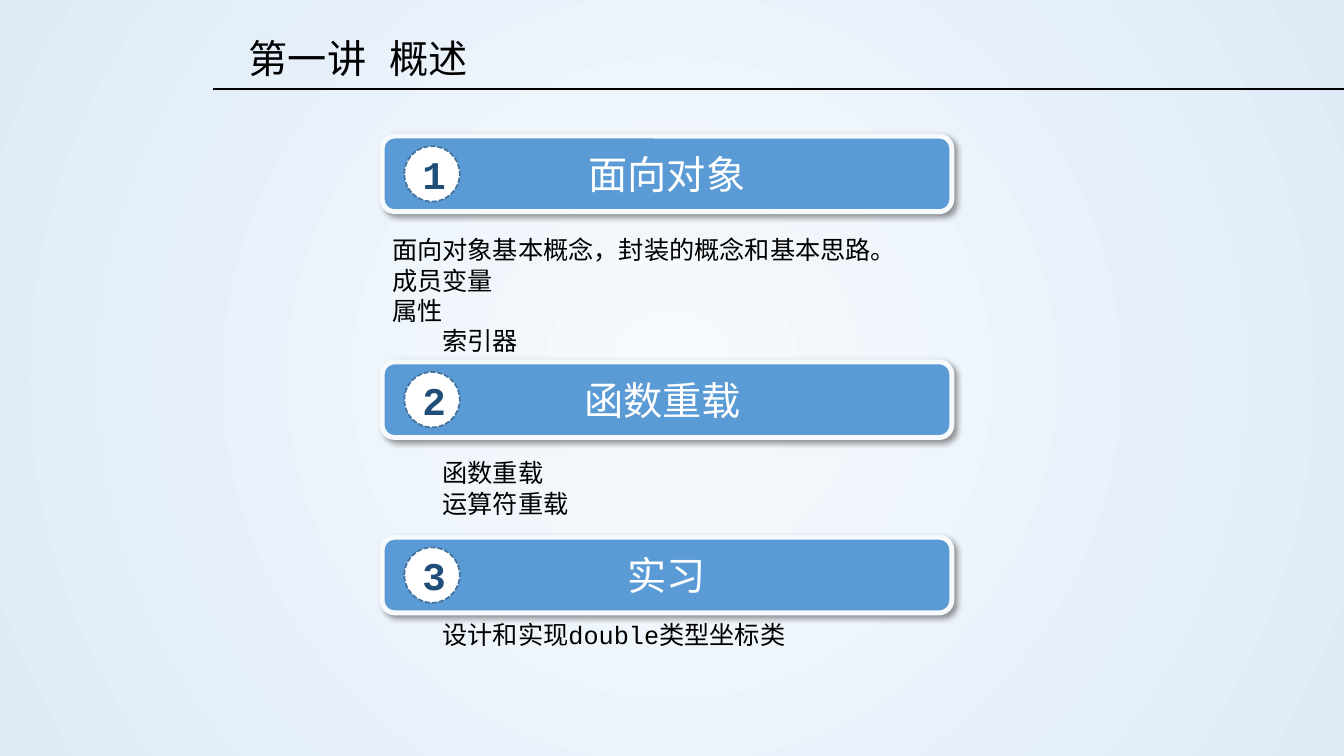
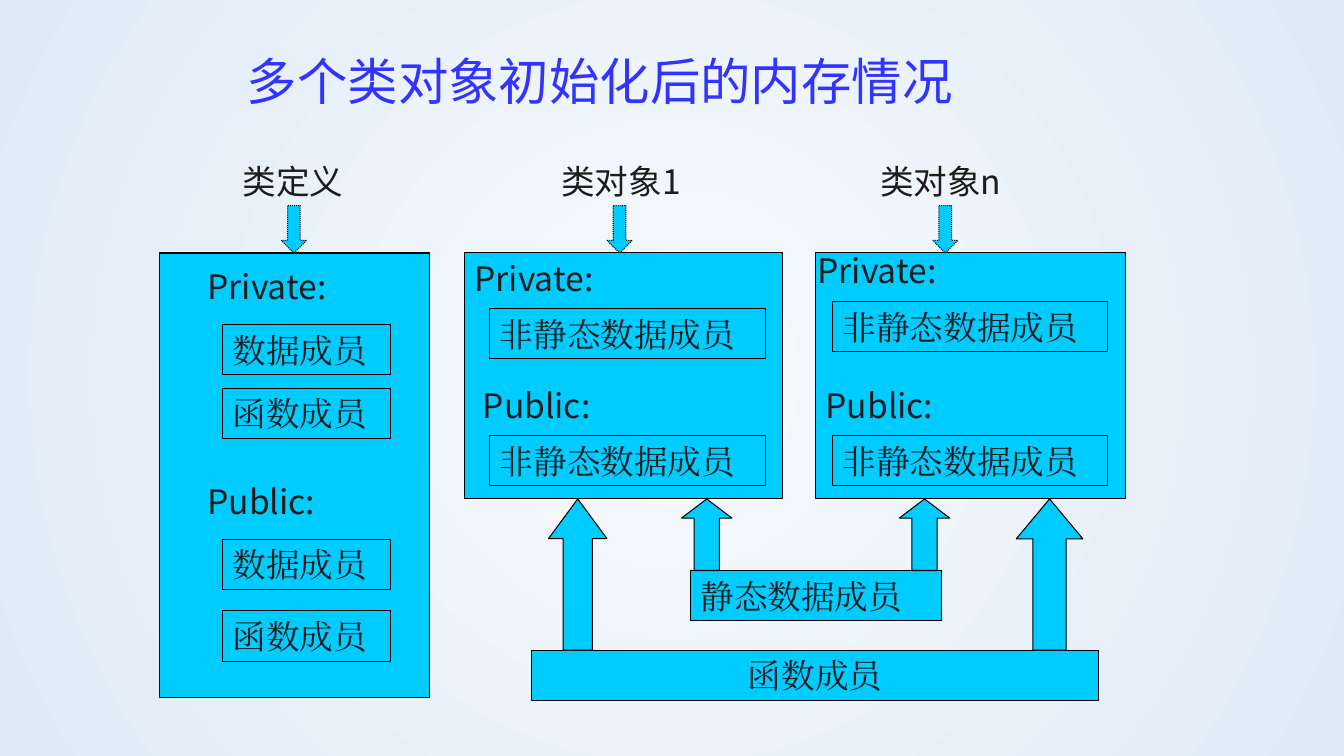
"""Build two slides on object-oriented programming: a lecture overview and class memory layout."""
from lxml.etree import SubElement
from pptx import Presentation
from pptx.dml.color import RGBColor
from pptx.enum.dml import MSO_LINE
from pptx.enum.shapes import MSO_CONNECTOR, MSO_SHAPE
from pptx.enum.text import MSO_ANCHOR, PP_ALIGN
from pptx.oxml.ns import qn
from pptx.util import Inches, Pt

BLACK = RGBColor(0x00, 0x00, 0x00)
WHITE = RGBColor(0xFF, 0xFF, 0xFF)
INK = RGBColor(0x1C, 0x1C, 0x1C)
PALE = RGBColor(0xF7, 0xFA, 0xFD)
MIST = RGBColor(0xDE, 0xEB, 0xF7)
BLUE = RGBColor(0x5B, 0x9B, 0xD5)
RING = RGBColor(0x43, 0x73, 0x9E)
NAVY = RGBColor(0x1F, 0x4E, 0x79)
CYAN = RGBColor(0x00, 0xCC, 0xFF)
VIOLET = RGBColor(0x33, 0x33, 0xFF)

MONO = "Courier New"
SANS = "Noto Sans CJK SC"
SERIF = "Times New Roman"
LABEL = "Karla"


def write(frame, text, font=MONO, size=24, color=INK, bold=False,
          align=PP_ALIGN.LEFT, anchor=MSO_ANCHOR.MIDDLE, indents=(0,), spacing=None):
    frame.word_wrap = True
    frame.vertical_anchor = anchor
    lines = text.split("\n")
    for number, line in enumerate(lines):
        paragraph = frame.add_paragraph() if number else frame.paragraphs[0]
        paragraph.alignment = align
        paragraph.line_spacing = spacing
        indent = indents[min(number, len(indents) - 1)]
        if indent:
            paragraph._p.get_or_add_pPr().set("marL", str(Inches(indent)))
        run = paragraph.add_run()
        run.text = line
        run.font.name = font
        run.font.size = Pt(size)
        run.font.bold = bold
        run.font.color.rgb = color
        SubElement(run._r.get_or_add_rPr(), qn("a:ea"), typeface=font)


class Deck:
    def __init__(self):
        self.presentation = Presentation()
        self.presentation.slide_width = Inches(13.33)
        self.presentation.slide_height = Inches(7.5)
        self.slide = None
        self.paint_background()

    def paint_background(self):
        master = self.presentation.slide_master
        fill = master.background.fill
        fill.gradient()
        for stop, color, position in zip(fill.gradient_stops, (PALE, MIST), (0, 1)):
            stop.color.rgb = color
            stop.position = position
        gradient = master.element.find(".//" + qn("p:bgPr") + "/" + qn("a:gradFill"))
        gradient.remove(gradient.find(qn("a:lin")))
        circle = SubElement(gradient, qn("a:path"), path="circle")
        SubElement(circle, qn("a:fillToRect"), l="50000", t="50000", r="50000", b="50000")

    def new_slide(self):
        self.slide = self.presentation.slides.add_slide(self.presentation.slide_layouts[6])

    def text(self, box, text, **style):
        area = self.slide.shapes.add_textbox(*map(Inches, box))
        write(area.text_frame, text, **style)

    def shape(self, kind, box, fill=None, line=BLACK, width=0.75, dash=None, text="", **style):
        figure = self.slide.shapes.add_shape(kind, *map(Inches, box))
        figure.shadow.inherit = False
        if fill is None:
            figure.fill.background()
        else:
            figure.fill.solid()
            figure.fill.fore_color.rgb = fill
        figure.line.color.rgb = line
        figure.line.width = Pt(width)
        if dash:
            figure.line.dash_style = dash
        if text:
            write(figure.text_frame, text, **style)
        return figure

    def rule(self, left, right, top):
        line = self.slide.shapes.add_connector(
            MSO_CONNECTOR.STRAIGHT, Inches(left), Inches(top), Inches(right), Inches(top))
        line.line.color.rgb = BLACK
        line.line.width = Pt(1.25)
        SubElement(line._element.spPr, qn("a:effectLst"))

    def heading(self, top, number, text, font):
        bar = self.shape(MSO_SHAPE.ROUNDED_RECTANGLE, (3.79, top, 5.65, 0.75), BLUE, PALE, 3.5,
                         text=text, font=font, size=28, color=WHITE, align=PP_ALIGN.CENTER)
        shadow = SubElement(bar._element.spPr.find(qn("a:effectLst")), qn("a:outerShdw"),
                            blurRad=str(Pt(4)), dist=str(Pt(3)), dir="2700000",
                            algn="tl", rotWithShape="0")
        tint = SubElement(shadow, qn("a:srgbClr"), val=str(BLACK))
        SubElement(tint, qn("a:alpha"), val="40000")
        self.shape(MSO_SHAPE.OVAL, (4.01, top + 0.1, 0.55, 0.55), WHITE, RING, 1.25,
                   MSO_LINE.SQUARE_DOT, text=str(number), size=28, color=NAVY, bold=True,
                   align=PP_ALIGN.CENTER)

    def member(self, left, top, width, text, fill=None, align=PP_ALIGN.LEFT):
        self.shape(MSO_SHAPE.RECTANGLE, (left, top, width, 0.5), fill,
                   text=text, font=SERIF, align=align)

    def label(self, left, top, text, font=SANS):
        self.text((left, top, 1.7, 0.5), text, font=font)

    def card(self, left, top, width, height):
        self.shape(MSO_SHAPE.RECTANGLE, (left, top, width, height), CYAN)

    def arrow(self, kind, box, head, dash=None):
        self.shape(kind, box, CYAN, dash=dash).adjustments[1] = head


def build_overview(deck):
    deck.new_slide()
    deck.rule(2.11, 13.33, 0.88)
    deck.text((2.37, 0.29, 3.04, 0.57), "第一讲 概述", size=28, color=BLACK)
    topics = (
        (1.35, "面向对象", SANS, 2.28, 1.31, (0, 0, 0, 0.5),
         "面向对象基本概念，封装的概念和基本思路。\n成员变量\n属性\n索引器"),
        (3.59, "函数重载 ", SANS, 4.49, 0.71, (0.5,), "函数重载\n运算符重载"),
        (5.33, "实习", MONO, 6.09, 0.4, (0.5,), "设计和实现double类型坐标类"),
    )
    for number, (top, topic, font, body_top, height, indents, body) in enumerate(topics, 1):
        deck.heading(top, number, topic, font)
        deck.text((3.79, body_top, 6.7, height), body, size=18, color=BLACK,
                  anchor=MSO_ANCHOR.TOP, indents=indents)


def build_memory(deck):
    deck.new_slide()
    deck.text((2.35, 0.52, 9.12, 0.63), "多个类对象初始化后的内存情况",
              size=36, color=VIOLET, spacing=0.9)

    deck.card(1.58, 2.51, 2.68, 4.41)
    for access, top, data_top, function_top in (("Private:", 2.59, 3.22, 3.85),
                                                ("Public:", 4.72, 5.35, 6.06)):
        deck.label(1.96, top, access)
        deck.member(2.21, data_top, 1.66, "数据成员")
        deck.member(2.21, function_top, 1.66, "函数成员")

    for left, width, private_left, private_top, data_top in ((4.61, 3.15, 4.61, 2.51, 3.06),
                                                             (8.09, 3.07, 8.01, 2.43, 2.99)):
        deck.card(left, 2.51, width, 2.44)
        deck.label(private_left, private_top, "Private:")
        deck.label(left + 0.08 if left < 8 else left, 3.77, "Public:")
        for top in (data_top, 4.32):
            deck.member(left + (0.25 if left < 8 else 0.17), top, 2.73, "非静态数据成员")

    deck.member(6.85, 5.66, 2.49, "静态数据成员", CYAN)
    deck.member(5.27, 6.45, 5.63, "函数成员", CYAN, PP_ALIGN.CENTER)
    for left, width, height, head in ((5.44, 0.58, 1.5, 0.68), (10.08, 0.66, 1.5, 0.6),
                                      (6.76, 0.5, 0.71, 0.38), (8.92, 0.5, 0.71, 0.38)):
        deck.arrow(MSO_SHAPE.UP_ARROW, (left, 4.95, width, height), head)

    for column, (title, font) in enumerate((("类定义", LABEL), ("类对象1", SANS), ("类对象n", SANS))):
        deck.label(2.31 + 3.16 * column, 1.55, title, font)
        deck.arrow(MSO_SHAPE.DOWN_ARROW, (2.79 + 3.23 * column, 2.04, 0.25, 0.47), 0.5,
                   MSO_LINE.ROUND_DOT)


def main():
    deck = Deck()
    build_overview(deck)
    build_memory(deck)
    deck.presentation.save("out.pptx")


if __name__ == "__main__":
    main()
